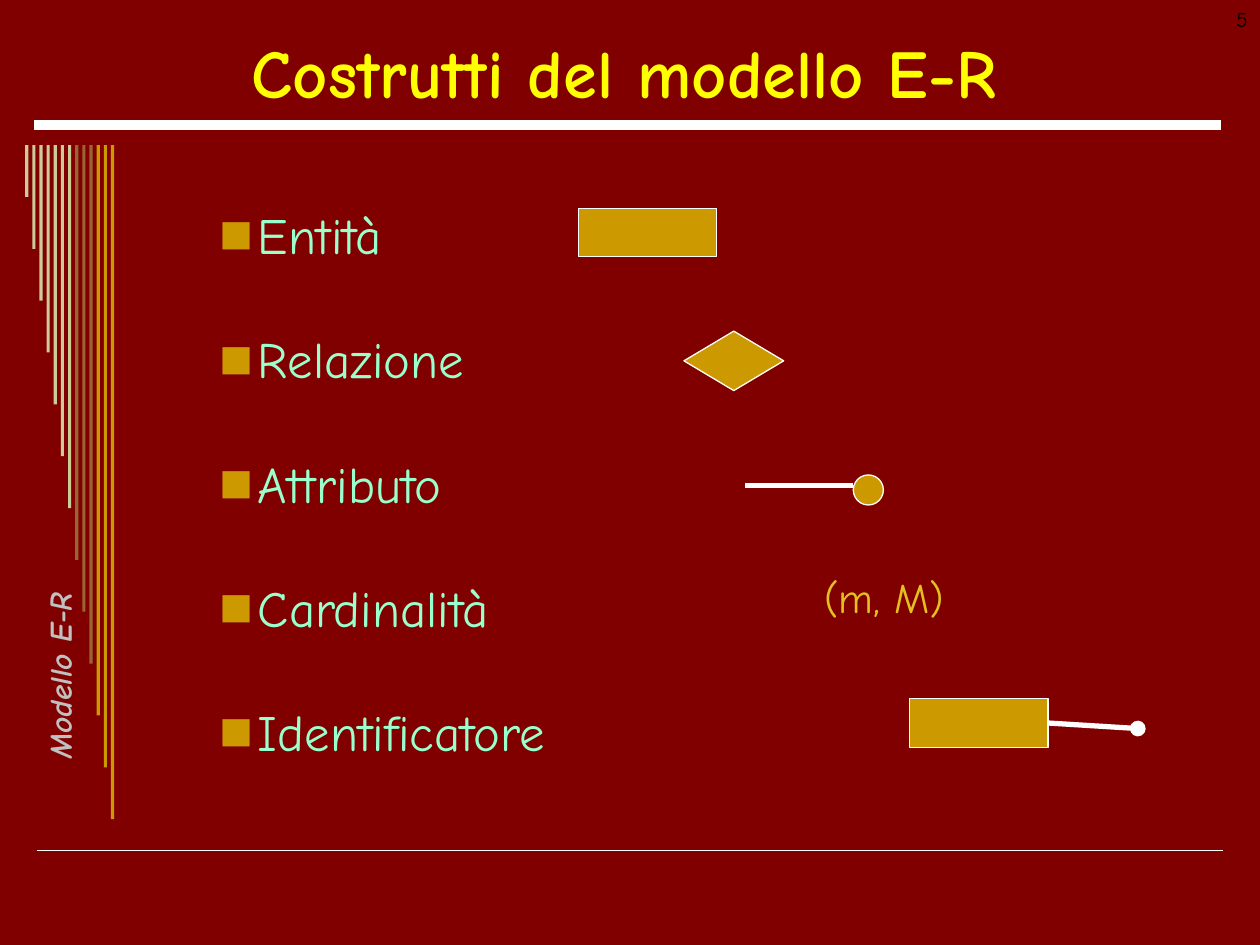
from dataclasses import dataclass

from lxml import etree
from pptx import Presentation
from pptx.dml.color import RGBColor
from pptx.enum.shapes import MSO_CONNECTOR, MSO_SHAPE
from pptx.enum.text import MSO_ANCHOR, MSO_AUTO_SIZE, PP_ALIGN
from pptx.oxml.ns import qn
from pptx.util import Pt

STRAIGHT = MSO_CONNECTOR.STRAIGHT
RECT = MSO_SHAPE.RECTANGLE
DECISION = MSO_SHAPE.FLOWCHART_DECISION
CIRCLE = MSO_SHAPE.FLOWCHART_CONNECTOR
TOP, MIDDLE = MSO_ANCHOR.TOP, MSO_ANCHOR.MIDDLE
LEFT, CENTER, RIGHT = PP_ALIGN.LEFT, PP_ALIGN.CENTER, PP_ALIGN.RIGHT


@dataclass(frozen=True)
class Theme:
    font: str = "Comic Neue"
    background: str = "800000"
    white: str = "FFFFFF"
    gold: str = "CC9900"
    brown: str = "996633"
    sand: str = "CCCC99"
    title: str = "FFFF00"
    body: str = "99FFCC"
    side: str = "C0C0C0"
    cardinality: str = "E4BF20"
    number: str = "000000"
    title_size: float = 39
    body_size: float = 29
    cardinality_size: float = 24
    side_size: float = 18
    number_size: float = 12


T = Theme()
CONSTRUCTS = ["Entità", "Relazione", "Attributo", "Cardinalità", "Identificatore"]
ROW_PITCH = 71
LINE_HEIGHT = 34.8


def rgb(color):
    return RGBColor.from_string(color)


def place(sp, box):
    sp.left, sp.top, sp.width, sp.height = (Pt(v) for v in box)


def format_text(p, text, *, size, color, bold=False, italic=False, align=LEFT):
    p.alignment = align
    r = p.add_run()
    r.text = text
    f = r.font
    f.name, f.size, f.bold, f.italic = T.font, Pt(size), bold, italic
    f.color.rgb = rgb(color)


def add_text(s, box, text, wrap=True, **fmt):
    sp = s.shapes.add_textbox(*(Pt(v) for v in box))
    sp.text_frame.word_wrap = wrap
    format_text(sp.text_frame.paragraphs[0], text, **fmt)
    return sp


def add_shape(s, kind, box, fill, outlined=True):
    sp = s.shapes.add_shape(kind, *(Pt(v) for v in box))
    sp.shadow.inherit = False
    sp.fill.solid()
    sp.fill.fore_color.rgb = rgb(fill)
    if outlined:
        sp.line.color.rgb = rgb(T.white)
        sp.line.width = Pt(0.75)
    else:
        sp.line.fill.background()


def add_line(s, x1, y1, x2, y2, width, oval_end=False):
    cn = s.shapes.add_connector(STRAIGHT, Pt(x1), Pt(y1), Pt(x2), Pt(y2))
    cn.line.color.rgb = rgb(T.white)
    cn.line.width = Pt(width)
    if oval_end:
        etree.SubElement(cn.line._get_or_add_ln(), qn("a:tailEnd"), type="oval")
    etree.SubElement(cn._element.spPr, qn("a:effectLst"))


def add_bullet(p):
    pPr = p._p.get_or_add_pPr()
    pPr.set("marL", str(Pt(66)))
    pPr.set("indent", str(Pt(-22)))
    color = etree.SubElement(pPr, qn("a:buClr"))
    etree.SubElement(color, qn("a:srgbClr"), val=T.gold)
    etree.SubElement(pPr, qn("a:buSzPct"), val="70000")
    etree.SubElement(pPr, qn("a:buFont"), typeface=T.font)
    etree.SubElement(pPr, qn("a:buChar"), char="■")


def add_stripes(s, box):
    """Thin bars hanging from one top edge, growing evenly to the right."""
    left, top, width, height = box
    colors = [T.sand] * 7 + [T.brown] * 3 + [T.gold] * 3
    count, bar = len(colors), 1.8
    pitch = (width - bar) / (count - 1)
    for i, color in enumerate(colors):
        bar_box = (left + i * pitch, top, bar, height * (i + 1) / count)
        add_shape(s, RECT, bar_box, color, outlined=False)


def add_frame(s, box):
    """Rules, stripes and the vertical section name."""
    left, top, width, height = box
    add_line(s, left, top, left + width, top, 6)
    add_line(s, left + 1.4, top + height, left + width + 1.4, top + height, 1)
    add_stripes(s, (left - 5.2, top + 11.5, 50.8, 385.2))
    side = add_text(s, (left - 73.4, top + 306, 164, 17.3), "Modello E-R",
                    wrap=False, size=T.side_size, color=T.side,
                    bold=True, italic=True, align=CENTER)
    side.rotation = 270


def fill_title(s, box, text):
    sp = s.shapes.title
    place(sp, box)
    tf = sp.text_frame
    tf.auto_size, tf.vertical_anchor = MSO_AUTO_SIZE.NONE, MIDDLE
    format_text(tf.paragraphs[0], text, size=T.title_size, color=T.title,
                bold=True, align=CENTER)


def fill_constructs(s, box, items):
    sp = s.placeholders[1]
    place(sp, box)
    tf = sp.text_frame
    tf.auto_size, tf.vertical_anchor = MSO_AUTO_SIZE.NONE, TOP
    for i, item in enumerate(items):
        p = tf.add_paragraph() if i else tf.paragraphs[0]
        p.level = 1
        add_bullet(p)
        p.line_spacing = Pt(LINE_HEIGHT)
        p.space_before = Pt(ROW_PITCH - LINE_HEIGHT if i else 0)
        format_text(p, item, size=T.body_size, color=T.body)


def add_symbols(s, box):
    """One symbol per construct, stepping down to the right."""
    left, top, width, height = box
    entity_w, entity_h, dot = 79.2, 27.7, 17.2

    add_shape(s, RECT, (left, top, entity_w, entity_h), T.gold)
    add_shape(s, DECISION, (left + 60.4, top + 70.2, 57, 34), T.gold)

    dot_left = left + 157.2
    add_shape(s, CIRCLE, (dot_left, top + 152.4, dot, dot), T.gold)
    add_line(s, dot_left, top + 158.4, dot_left - 62, top + 158.4, 3)

    add_text(s, (left + 133.5, top + 204.3, 130, 36), "(m, M)",
             size=T.cardinality_size, color=T.cardinality)

    entity_left, entity_top = left + 189.4, top + height - entity_h
    add_shape(s, RECT, (entity_left, entity_top, entity_w, entity_h), T.gold)
    add_line(s, entity_left + entity_w, entity_top + entity_h / 2,
             left + width, entity_top + 17, 3, oval_end=True)


def main():
    prs = Presentation()
    prs.slide_width, prs.slide_height = Pt(720), Pt(540)
    s = prs.slides.add_slide(prs.slide_layouts[1])
    s.background.fill.solid()
    s.background.fill.fore_color.rgb = rgb(T.background)

    add_frame(s, (19.6, 71.4, 678, 414.6))
    fill_title(s, (25.2, 15.1, 663, 51), "Costrutti del modello E-R")
    fill_constructs(s, (74.2, 113, 317.5, 337), CONSTRUCTS)
    add_symbols(s, (330.4, 119, 319.8, 308))
    add_text(s, (552, 0, 168, 36), "5", size=T.number_size, color=T.number,
             align=RIGHT)
    prs.save("out.pptx")


if __name__ == "__main__":
    main()
